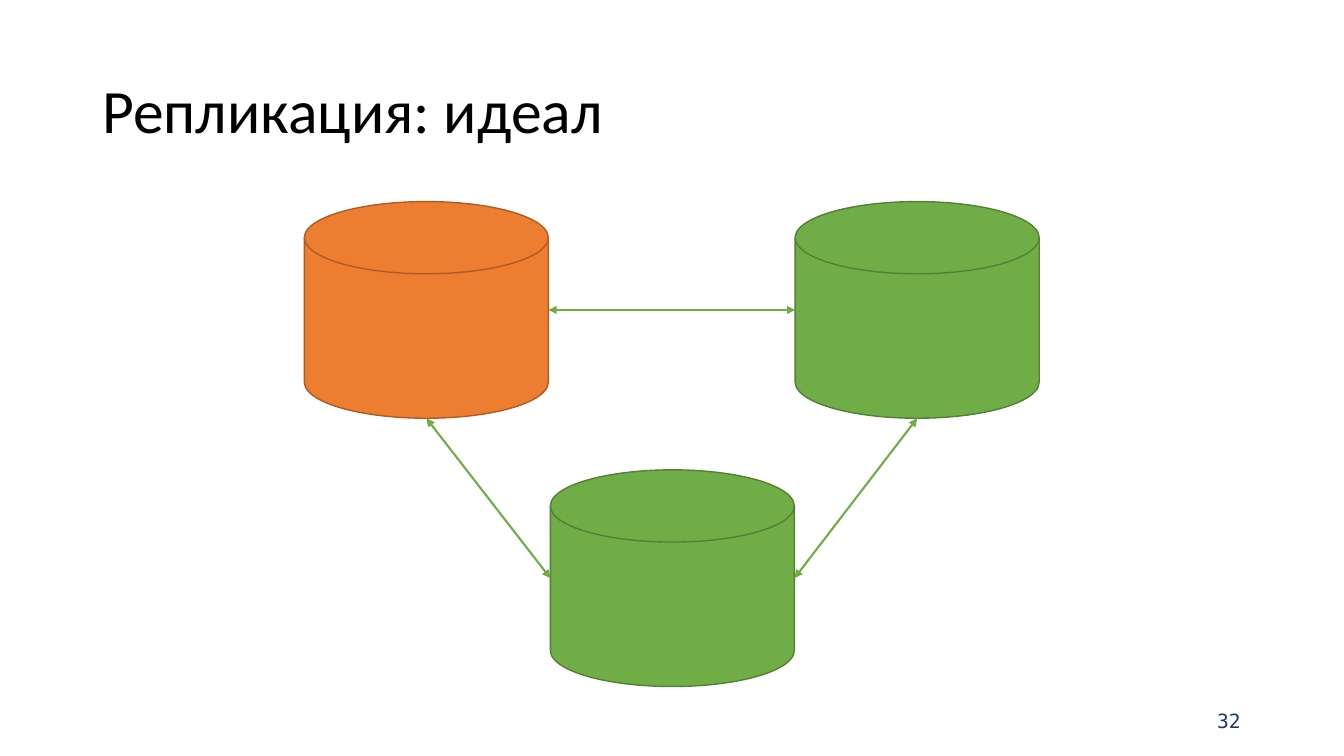
from lxml.etree import SubElement
from pptx import Presentation
from pptx.dml.color import RGBColor
from pptx.enum.shapes import MSO_CONNECTOR as Connector, MSO_SHAPE as Shape
from pptx.enum.text import MSO_ANCHOR as Anchor, PP_ALIGN as Align
from pptx.oxml.ns import qn
from pptx.util import Cm, Pt

BLACK = RGBColor(0x00, 0x00, 0x00)
NAVY = RGBColor(0x20, 0x38, 0x64)
ORANGE = RGBColor(0xED, 0x7D, 0x31)
DARK_ORANGE = RGBColor(0xAF, 0x5C, 0x24)
GREEN = RGBColor(0x70, 0xAD, 0x47)
DARK_GREEN = RGBColor(0x53, 0x80, 0x35)

TITLE = ("Репликация: идеал", (2.33, 1.01, 29.21, 3.68), "Calibri", 44, BLACK, Align.LEFT, 0.9)
PAGE_NUMBER = ("32", (23.92, 17.66, 7.6, 1.01), "DejaVu Sans Mono", 14, NAVY, Align.RIGHT, 1.0)

DISK_WIDTH, DISK_HEIGHT = 6.15, 5.46
DISKS = {
    "left": (7.67, 5.08, ORANGE, DARK_ORANGE),
    "right": (20.04, 5.08, GREEN, DARK_GREEN),
    "bottom": (13.87, 11.84, GREEN, DARK_GREEN),
}
SIDES = {"left": (0, 0.5), "right": (1, 0.5), "bottom": (0.5, 1)}
LINKS = [
    (("bottom", "right"), ("right", "bottom")),
    (("left", "bottom"), ("bottom", "left")),
    (("left", "right"), ("right", "left")),
]


def add_text(slide, text, box, font, size, color, align, spacing):
    frame = slide.shapes.add_textbox(*map(Cm, box)).text_frame
    frame.word_wrap = True
    frame.vertical_anchor = Anchor.MIDDLE
    paragraph = frame.paragraphs[0]
    paragraph.alignment = align
    paragraph.line_spacing = spacing
    run = paragraph.add_run()
    run.text = text
    run.font.name = font
    run.font.size = Pt(size)
    run.font.color.rgb = color


def add_disk(slide, left, top, fill, outline):
    disk = slide.shapes.add_shape(
        Shape.FLOWCHART_MAGNETIC_DISK, Cm(left), Cm(top), Cm(DISK_WIDTH), Cm(DISK_HEIGHT))
    disk.shadow.inherit = False
    disk.fill.solid()
    disk.fill.fore_color.rgb = fill
    disk.line.color.rgb = outline
    disk.line.width = Pt(1)


def anchor_point(disk, side):
    left, top = DISKS[disk][:2]
    across, down = SIDES[side]
    return Cm(left + across * DISK_WIDTH), Cm(top + down * DISK_HEIGHT)


def add_link(slide, start, end):
    link = slide.shapes.add_connector(
        Connector.STRAIGHT, *anchor_point(*start), *anchor_point(*end))
    link.line.color.rgb = GREEN
    link.line.width = Pt(1.5)
    outline = link.line._get_or_add_ln()
    for end_tag in ("a:headEnd", "a:tailEnd"):
        SubElement(outline, qn(end_tag), type="triangle")
    SubElement(link._element.spPr, qn("a:effectLst"))


def main():
    presentation = Presentation()
    presentation.slide_width = Cm(33.87)
    presentation.slide_height = Cm(19.05)
    slide = presentation.slides.add_slide(presentation.slide_layouts[6])
    for text in (TITLE, PAGE_NUMBER):
        add_text(slide, *text)
    for disk in DISKS.values():
        add_disk(slide, *disk)
    for start, end in LINKS:
        add_link(slide, start, end)
    presentation.save("out.pptx")


if __name__ == "__main__":
    main()
